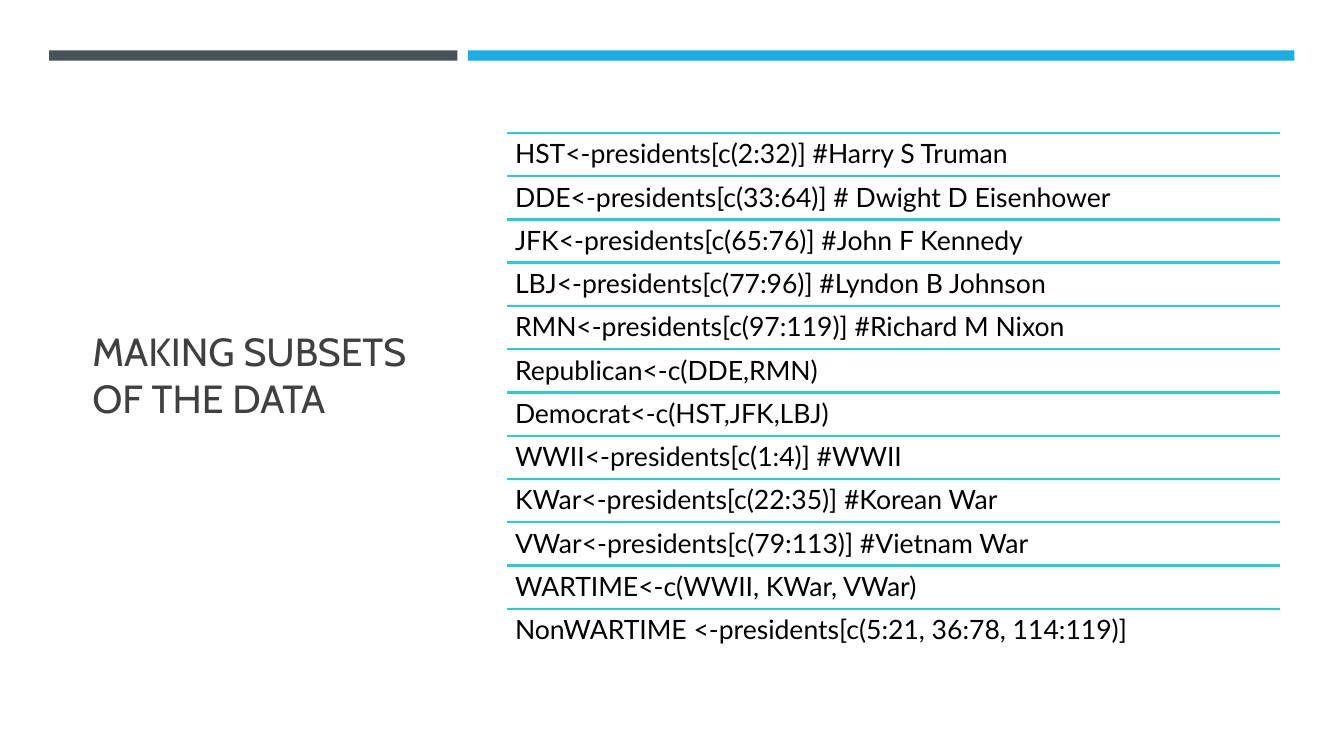
from pptx import Presentation
from pptx.dml.color import RGBColor
from pptx.enum.shapes import MSO_CONNECTOR as CONN, MSO_SHAPE as SHAPE
from pptx.enum.text import MSO_ANCHOR as ANCHOR
from pptx.oxml.ns import qn
from pptx.util import Cm, Pt
from lxml.etree import SubElement

STATEMENTS = [
    "HST<-presidents[c(2:32)] #Harry S Truman",
    "DDE<-presidents[c(33:64)] # Dwight D Eisenhower",
    "JFK<-presidents[c(65:76)] #John F Kennedy",
    "LBJ<-presidents[c(77:96)] #Lyndon B Johnson",
    "RMN<-presidents[c(97:119)] #Richard M Nixon",
    "Republican<-c(DDE,RMN)",
    "Democrat<-c(HST,JFK,LBJ)",
    "WWII<-presidents[c(1:4)] #WWII",
    "KWar<-presidents[c(22:35)] #Korean War",
    "VWar<-presidents[c(79:113)] #Vietnam War",
    "WARTIME<-c(WWII, KWar, VWar)",
    "NonWARTIME <-presidents[c(5:21, 36:78, 114:119)]",
]
TITLE_FONT = {"name": "Cabin", "size": Pt(28)}
CODE_FONT = {"name": "Lato", "size": Pt(19)}


def rgb(value):
    """Turn a hex string into a colour."""
    return RGBColor.from_string(value)


def set_all(obj, values):
    """Set every attribute of a format dict on an object."""
    for name, value in values.items():
        setattr(obj, name, value)


def add_text(s, box, text, font, color, frame, para):
    """Add a wrapped one-paragraph text box."""
    tf = s.shapes.add_textbox(*map(Cm, box)).text_frame
    set_all(tf, {"word_wrap": True, **frame})
    p = tf.paragraphs[0]
    set_all(p, para)
    r = p.add_run()
    r.text = text
    set_all(r.font, font)
    r.font.color.rgb = rgb(color)


def add_rule(s, left, top, width):
    """Add a horizontal rule without shadow."""
    ends = map(Cm, (left, top, left + width, top))
    line = s.shapes.add_connector(CONN.STRAIGHT, *ends)
    line.line.width = Pt(1.75)
    line.line.color.rgb = rgb("27CED7")
    SubElement(line._element.spPr, qn("a:effectLst"))


def add_header(s, left, top, width, height):
    """Draw the dark and blue bars, split about one to two."""
    gap, dark = 0.26, 10.29
    bars = [(left, dark, "465359"),
            (left + dark + gap, width - dark - gap, "1CADE4")]
    for x, w, color in bars:
        bar = s.shapes.add_shape(SHAPE.RECTANGLE, *map(Cm, (x, top, w, height)))
        bar.shadow.inherit = False
        bar.fill.solid()
        bar.fill.fore_color.rgb = rgb(color)
        bar.line.fill.background()


def add_title(s, *box):
    """Place the title in the middle of its box."""
    add_text(s, box, "MAKING SUBSETS OF THE DATA", TITLE_FONT, "404040",
             {"vertical_anchor": ANCHOR.MIDDLE}, {})


def add_statements(s, left, top, width, height):
    """Stack the code statements in equal rows, each under a rule."""
    sides = ("left", "top", "right", "bottom")
    frame = {f"margin_{side}": Cm(0.2) for side in sides}
    row = height / len(STATEMENTS)
    for i, text in enumerate(STATEMENTS):
        y = top + i * row
        add_rule(s, left, y, width)
        add_text(s, (left, y, width, row), text, CODE_FONT, "000000",
                 frame, {"line_spacing": 0.9})


def build():
    """Build and save the slide."""
    prs = Presentation()
    set_all(prs, {"slide_width": Cm(33.87), "slide_height": Cm(19.05)})
    s = prs.slides.add_slide(prs.slide_layouts[6])
    add_title(s, 2.08, 2.9, 8.48, 13.08)
    add_header(s, 1.24, 1.27, 31.38, 0.26)
    add_statements(s, 12.78, 3.35, 19.48, 13.08)
    prs.save("out.pptx")


build()
